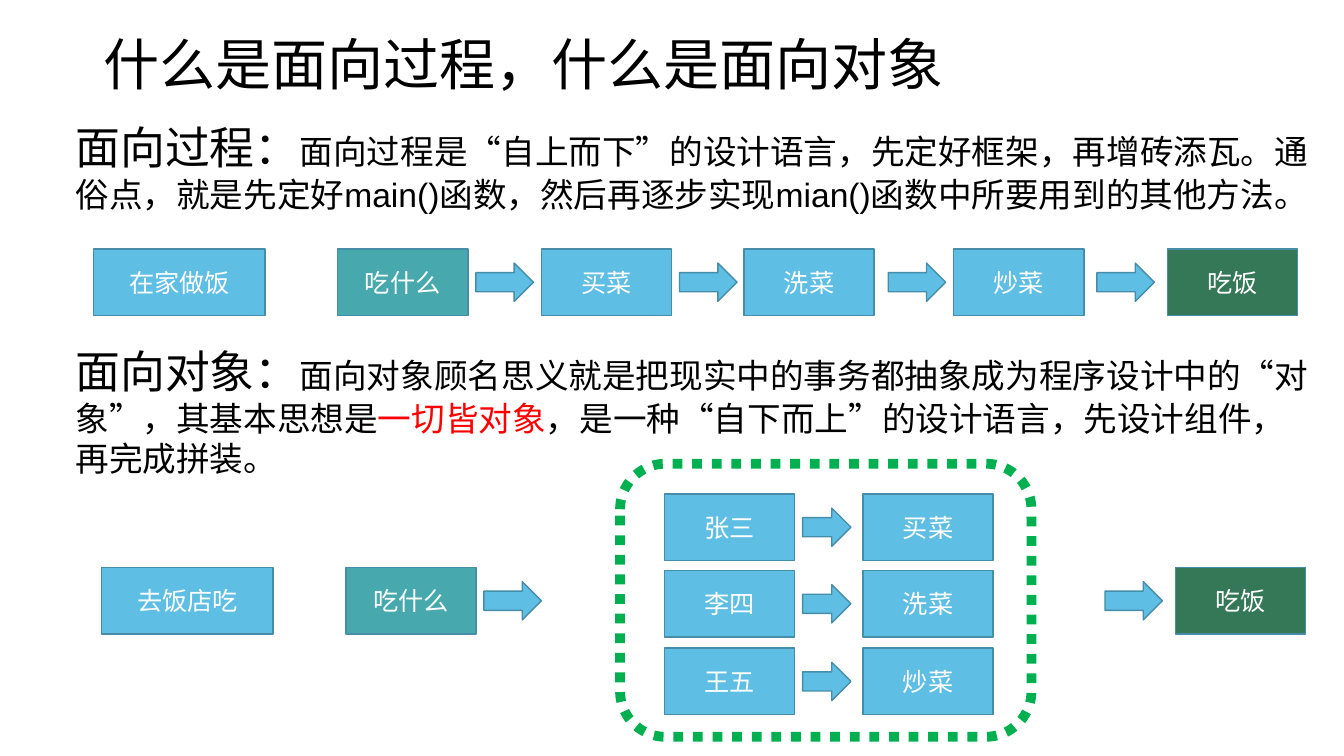
from pptx import Presentation
from pptx.dml.color import RGBColor
from pptx.enum.dml import MSO_LINE
from pptx.enum.shapes import MSO_SHAPE
from pptx.enum.text import MSO_ANCHOR, MSO_AUTO_SIZE, PP_ALIGN
from pptx.util import Pt

RECT, ARROW, ROUNDED = MSO_SHAPE.RECTANGLE, MSO_SHAPE.RIGHT_ARROW, MSO_SHAPE.ROUNDED_RECTANGLE
DOTTED = MSO_LINE.ROUND_DOT
TOP, MIDDLE = MSO_ANCHOR.TOP, MSO_ANCHOR.MIDDLE
LEFT, CENTER = PP_ALIGN.LEFT, PP_ALIGN.CENTER
NO_FIT, GROW = MSO_AUTO_SIZE.NONE, MSO_AUTO_SIZE.SHAPE_TO_FIT_TEXT

PX = 9144  # 100 px to the inch
FONT = "Arial"
COLORS = {
    "text": "000000", "accent": "FF0000", "label": "FFFFFF",
    "step": "5EBEE4", "start": "47A9AE", "finish": "357857",
    "outline": "468DA9", "group": "00B050",
}
STEP_W, STEP_H = 129, 66
TOPIC_W = 170
ARROW_W, ARROW_H = 57, 38
ARROW_GAP = 8


def color(name):
    return RGBColor.from_string(COLORS[name])


def scaled(*lengths):
    return [length * PX for length in lengths]


def add_span(para, text, size, shade="text"):
    span = para.add_run()
    span.text = text
    span.font.name = FONT
    span.font.size = Pt(size)
    span.font.color.rgb = color(shade)


def add_block(page, kind, box, fill, outline="outline", weight=1):
    block = page.shapes.add_shape(kind, *scaled(*box))
    block.shadow.inherit = False
    if fill:
        block.fill.solid()
        block.fill.fore_color.rgb = color(fill)
    else:
        block.fill.background()
    block.line.color.rgb = color(outline)
    block.line.width = Pt(weight)
    return block


def add_step(page, left, top, label, fill="step", width=STEP_W):
    block = add_block(page, RECT, (left, top, width, STEP_H), fill)
    block.text_frame.vertical_anchor = MIDDLE
    para = block.text_frame.paragraphs[0]
    para.alignment = CENTER
    add_span(para, label, 18, "label")


def add_arrow(page, left, step_top, width=ARROW_W):
    top = step_top + (STEP_H - ARROW_H) // 2
    add_block(page, ARROW, (left, top, width, ARROW_H), "step")


def add_title(page, box, text):
    title = page.shapes.title
    title.left, title.top, title.width, title.height = scaled(*box)
    frame = title.text_frame
    frame.word_wrap = False
    frame.auto_size = NO_FIT
    frame.vertical_anchor = TOP
    para = frame.paragraphs[0]
    para.alignment = LEFT
    add_span(para, text, 40)


def add_definition(page, box, heading, spans):
    frame = page.shapes.add_textbox(*scaled(*box)).text_frame
    frame.word_wrap = True
    frame.auto_size = GROW
    para = frame.paragraphs[0]
    add_span(para, heading, 32)
    for text, shade in spans:
        add_span(para, text, 24, shade)


def add_frame_steps(page, left, top, topic):
    """Topic, first step with its arrow, and last step, shared by both flows."""
    add_step(page, left, top, topic, width=TOPIC_W)
    add_step(page, left + 242, top, "吃什么", "start")
    add_arrow(page, left + 242 + STEP_W + ARROW_GAP, top)
    add_arrow(page, left + 995, top)
    add_step(page, left + 1065, top, "吃饭", "finish")


def add_procedure_flow(page, left, top):
    add_frame_steps(page, left, top, "在家做饭")
    for offset, label in ((444, "买菜"), (645, "洗菜"), (853, "炒菜")):
        add_step(page, left + offset, top, label)
    for offset in (581, 788):
        add_arrow(page, left + offset, top)


def add_team(page, box):
    """Dotted group in which each person does one task."""
    left, top, width, height = box
    group = add_block(page, ROUNDED, box, None, "group", 7)
    group.line.dash_style = DOTTED
    tasks = (("张三", "买菜"), ("李四", "洗菜"), ("王五", "炒菜"))
    for row, (person, task) in enumerate(tasks):
        row_top = top + 30 + row * 153 // 2
        add_step(page, left + 44, row_top, person)
        add_arrow(page, left + 44 + STEP_W + ARROW_GAP, row_top, 48)
        add_step(page, left + 241, row_top, task)


def main():
    deck = Presentation()
    deck.slide_width, deck.slide_height = scaled(1333, 750)
    page = deck.slides.add_slide(deck.slide_layouts[5])

    add_title(page, (93, 24, 853, 77), "什么是面向过程，什么是面向对象")

    # Procedural programming
    add_definition(page, (65, 114, 1256, 104), "面向过程：", [
        ("面向过程是“自上而下”的设计语言，先定好框架，再增砖添瓦。通俗点，就是先定好"
         "main()函数，然后再逐步实现mian()函数中所要用到的其他方法。", "text"),
    ])
    add_procedure_flow(page, 93, 247)

    # Object-oriented programming
    add_definition(page, (65, 336, 1246, 145), "面向对象：", [
        ("面向对象顾名思义就是把现实中的事务都抽象成为程序设计中的“对象”，其基本思想是", "text"),
        ("一切皆对象", "accent"),
        ("，是一种“自下而上”的设计语言，先设计组件，再完成拼装。", "text"),
    ])
    add_frame_steps(page, 101, 563, "去饭店吃")
    add_team(page, (615, 460, 408, 271))

    deck.save("out.pptx")


if __name__ == "__main__":
    main()
